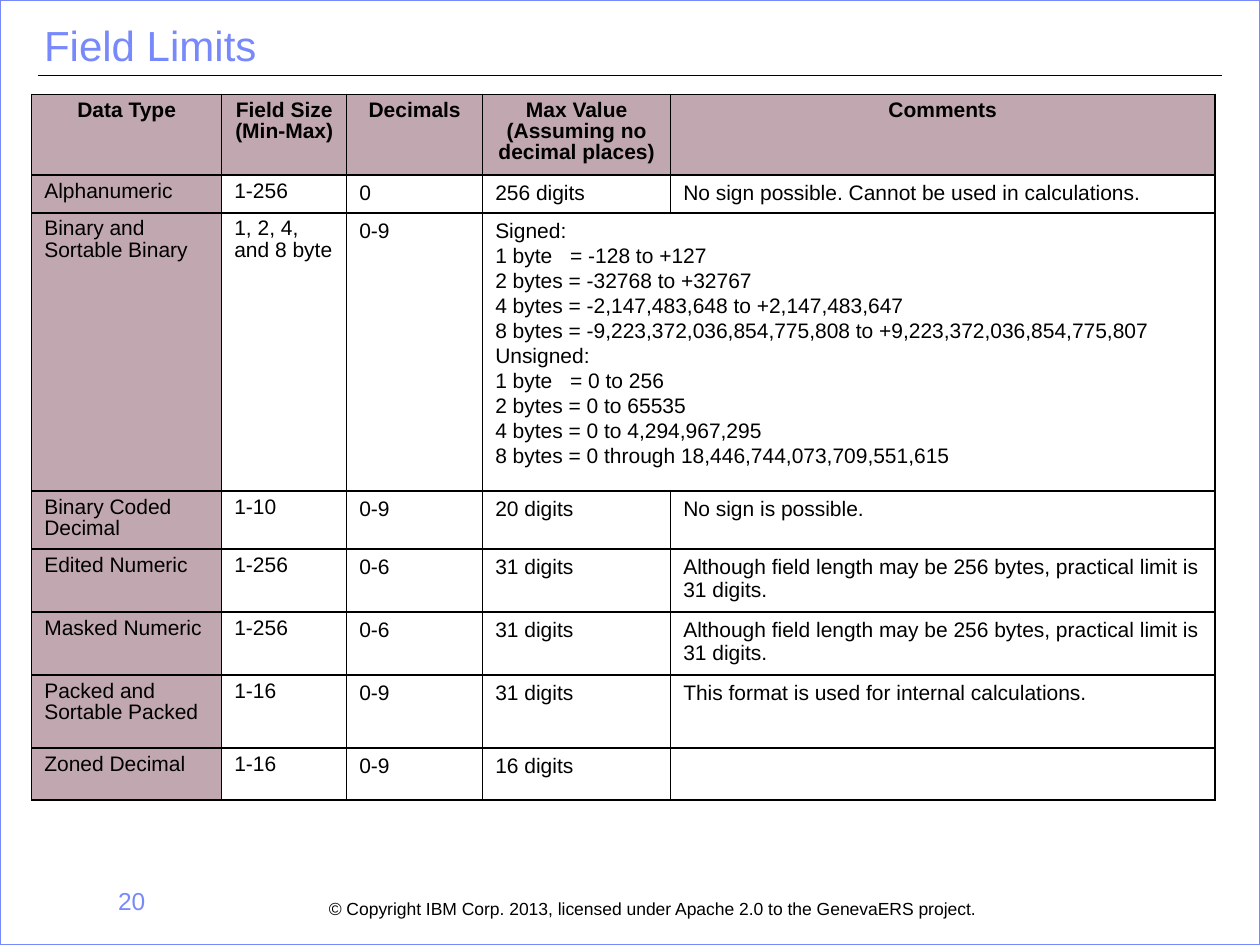
from lxml import etree
from pptx import Presentation
from pptx.dml.color import RGBColor
from pptx.enum.shapes import MSO_CONNECTOR, MSO_SHAPE
from pptx.enum.text import MSO_ANCHOR, PP_ALIGN
from pptx.oxml.ns import qn
from pptx.util import Cm, Pt

BLACK = RGBColor(0x00, 0x00, 0x00)
BLUE = RGBColor(0x78, 0x89, 0xFB)
MAUVE = RGBColor(0xC1, 0xA7, 0xB0)
LEFT, CENTER, RIGHT = PP_ALIGN.LEFT, PP_ALIGN.CENTER, PP_ALIGN.RIGHT
TOP = MSO_ANCHOR.TOP
STRAIGHT = MSO_CONNECTOR.STRAIGHT
RECTANGLE = MSO_SHAPE.RECTANGLE
FONT = "Arial"

COLS = [3.83, 2.52, 2.74, 3.79, 10.97]
ROWS = [1.53, 0.74, 5.36, 1.11, 1.21, 1.21, 1.47, 1.05]
EQUALS_TAB = 1.51

BINARY_RANGES = """Signed:
1 byte\t= -128 to +127
2 bytes = -32768 to +32767
4 bytes = -2,147,483,648 to +2,147,483,647
8 bytes = -9,223,372,036,854,775,808 to +9,223,372,036,854,775,807
Unsigned:
1 byte\t= 0 to 256
2 bytes = 0 to 65535
4 bytes = 0 to 4,294,967,295
8 bytes = 0 through 18,446,744,073,709,551,615"""
EDIT_LIMIT = "Although field length may be 256 bytes, practical limit is 31 digits."
LIMITS = [
    ["Data Type", "Field Size (Min-Max)", "Decimals",
     "Max Value (Assuming no decimal places)", "Comments"],
    ["Alphanumeric", "1-256", "0", "256 digits",
     "No sign possible. Cannot be used in calculations."],
    ["Binary and Sortable Binary", "1, 2, 4, and 8 byte", "0-9", BINARY_RANGES, ""],
    ["Binary Coded Decimal", "1-10", "0-9", "20 digits", "No sign is possible."],
    ["Edited Numeric", "1-256", "0-6", "31 digits", EDIT_LIMIT],
    ["Masked Numeric", "1-256", "0-6", "31 digits", EDIT_LIMIT],
    ["Packed and Sortable Packed", "1-16", "0-9", "31 digits",
     "This format is used for internal calculations."],
    ["Zoned Decimal", "1-16", "0-9", "16 digits", ""],
]


def write(tf, text, size=12, color=BLACK, bold=False, align=LEFT, spacing=None, after=None):
    for i, line in enumerate(text.split("\n")):
        p = tf.add_paragraph() if i else tf.paragraphs[0]
        p.alignment = align
        if spacing:
            p.line_spacing = spacing
        if after:
            p.space_after = Pt(after)
        if "\t" in line:
            tabs = etree.SubElement(p._p.get_or_add_pPr(), qn("a:tabLst"))
            etree.SubElement(tabs, qn("a:tab"), pos=str(Cm(EQUALS_TAB)), algn="l")
        p.font.size = Pt(size)
        if line:
            r = p.add_run()
            r.text = line
            r.font.name = FONT
            r.font.size = Pt(size)
            r.font.bold = bold
            r.font.color.rgb = color


class Deck:
    """Holds the style and the current slide, and draws each kind of element."""

    def __init__(self):
        self.prs = Presentation()
        self.prs.slide_width, self.prs.slide_height = Cm(25.4), Cm(19.05)
        self.s = self.prs.slides.add_slide(self.prs.slide_layouts[6])

    def frame(self, color):
        sp = self.s.shapes.add_shape(
            RECTANGLE, 0, 0, self.prs.slide_width, self.prs.slide_height)
        sp.shadow.inherit = False
        sp.fill.background()
        sp.line.color.rgb = color
        sp.line.width = Pt(1)

    def rule(self, x1, x2, y):
        cx = self.s.shapes.add_connector(STRAIGHT, Cm(x1), Cm(y), Cm(x2), Cm(y))
        cx.line.color.rgb = BLACK
        cx.line.width = Pt(0.75)
        etree.SubElement(cx._element.spPr, qn("a:effectLst"))

    def text(self, x, y, w, h, text, wrap=True, **style):
        tf = self.s.shapes.add_textbox(Cm(x), Cm(y), Cm(w), Cm(h)).text_frame
        tf.word_wrap = wrap
        tf.vertical_anchor = TOP
        write(tf, text, **style)

    def borders(self, cell):
        tcPr = cell._tc.get_or_add_tcPr()
        for i, side in enumerate(("lnL", "lnR", "lnT", "lnB")):
            ln = etree.Element(qn(f"a:{side}"), w=str(Pt(1)))
            fill = etree.SubElement(ln, qn("a:solidFill"))
            etree.SubElement(fill, qn("a:srgbClr"), val=str(BLACK))
            tcPr.insert(i, ln)

    def table(self, x, y, cols, rows, data):
        tbl = self.s.shapes.add_table(
            len(rows), len(cols), Cm(x), Cm(y), Cm(sum(cols)), Cm(sum(rows))).table
        for column, w in zip(tbl.columns, cols):
            column.width = Cm(w)
        for row, h in zip(tbl.rows, rows):
            row.height = Cm(h)
        for i, values in enumerate(data):
            for j, value in enumerate(values):
                cell = tbl.cell(i, j)
                if i == 0 or j == 0:
                    cell.fill.solid()
                    cell.fill.fore_color.rgb = MAUVE
                else:
                    cell.fill.background()
                self.borders(cell)
                tight = i == 0 or j < 2
                write(cell.text_frame, value, bold=i == 0,
                      align=CENTER if i == 0 else LEFT,
                      spacing=0.9 if tight else None, after=None if tight else 0.85)
        return tbl


def main():
    deck = Deck()
    deck.rule(0.76, 24.64, 1.52)
    deck.frame(BLUE)
    deck.text(6.38, 18.03, 13.67, 0.64,
              "© Copyright IBM Corp. 2013, licensed under Apache 2.0 to the GenevaERS project.",
              wrap=False, size=10, spacing=0.9)
    deck.text(0.64, 17.73, 2.54, 1.32, "20", size=14, color=BLUE, align=RIGHT)
    deck.text(0.64, 0.38, 21.72, 1.52, "Field Limits", size=24, color=BLUE, spacing=0.9)
    tbl = deck.table(0.64, 1.9, COLS, ROWS, LIMITS)
    tbl.cell(2, 3).merge(tbl.cell(2, 4))
    deck.prs.save("out.pptx")


if __name__ == "__main__":
    main()
